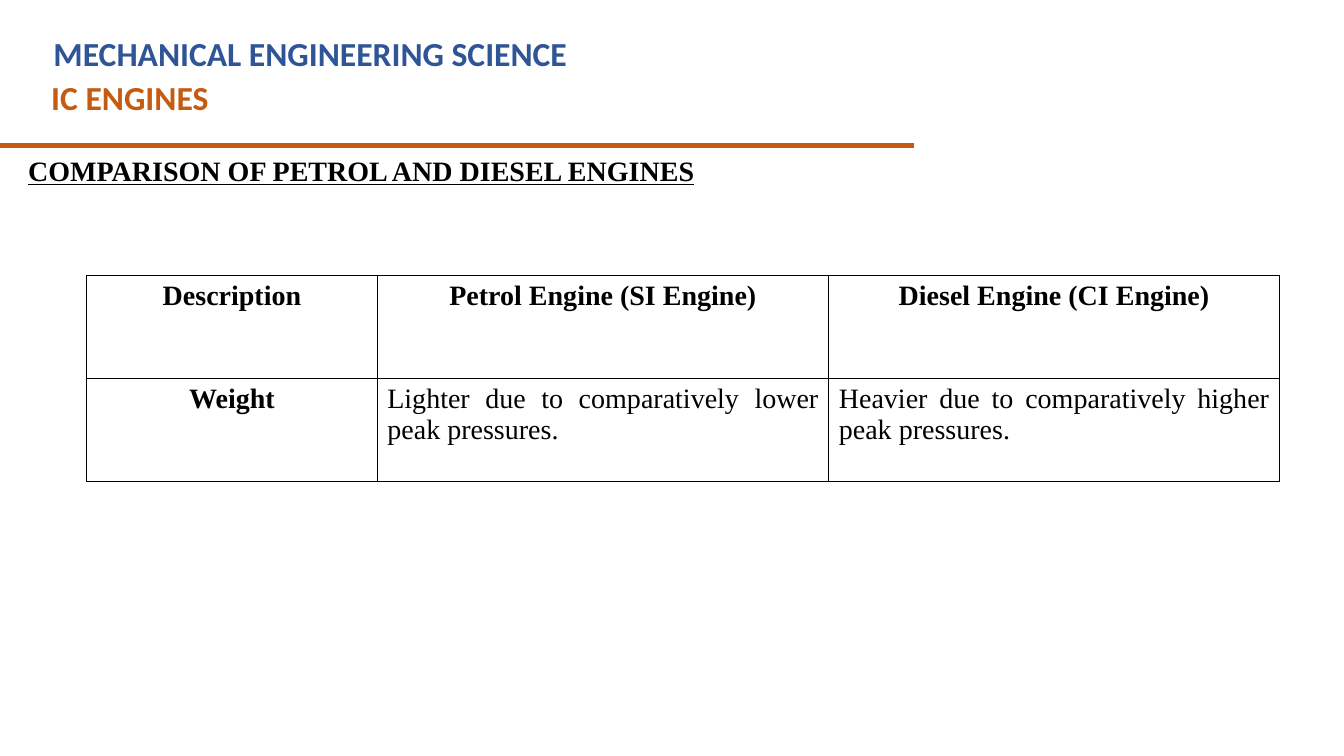
"""Build the slide comparing the weight of petrol and diesel engines."""
from lxml import etree
from pptx import Presentation
from pptx.dml.color import RGBColor
from pptx.enum.shapes import MSO_CONNECTOR as Link
from pptx.enum.text import MSO_ANCHOR as Anchor, MSO_AUTO_SIZE as Fit, PP_ALIGN as Align
from pptx.oxml import parse_xml
from pptx.oxml.ns import nsdecls, qn
from pptx.util import Pt

BLUE = RGBColor(0x2F, 0x55, 0x97)
RUST = RGBColor(0xC5, 0x5A, 0x11)
BLACK = RGBColor(0, 0, 0)
SERIF = "Times New Roman"


def style(frame, text, face, size, color, align, bold=True):
    frame.text = text
    frame.word_wrap = True
    para = frame.paragraphs[0]
    para.alignment = align
    font = para.font
    font.name, font.size, font.bold = face, Pt(size), bold
    font.color.rgb = color
    return font


def place(shape, left, top, width, height):
    shape.left, shape.top = Pt(left), Pt(top)
    shape.width, shape.height = Pt(width), Pt(height)
    shape.text_frame.vertical_anchor = Anchor.TOP
    shape.text_frame.auto_size = Fit.NONE


deck = Presentation()
deck.slide_width, deck.slide_height = Pt(960), Pt(540)
slide = deck.slides.add_slide(deck.slide_layouts[5])
shapes = slide.shapes

title = shapes.title
place(title, 31, 20, 590, 36)
style(title.text_frame, "MECHANICAL ENGINEERING SCIENCE", "Calibri", 24, BLUE, Align.LEFT)

topic = shapes.add_textbox(0, 0, 0, 0)
place(topic, 29.5, 51.5, 630, 36)
style(topic.text_frame, "IC ENGINES", "Calibri", 24, RUST, Align.LEFT)

rule = shapes.add_connector(Link.STRAIGHT, Pt(-0.5), Pt(104), Pt(653), Pt(104))
rule.line.color.rgb = RUST
rule.line.width = Pt(3)
etree.SubElement(rule.element.spPr, qn("a:effectLst"))

heading = shapes.add_textbox(0, 0, 0, 0)
place(heading, 13, 106, 626, 31.5)
font = style(heading.text_frame, "COMPARISON OF PETROL AND DIESEL ENGINES",
             SERIF, 20, BLACK, Align.JUSTIFY)
font.underline = True

rows = [
    ("Description", "Petrol Engine (SI Engine)", "Diesel Engine (CI Engine)"),
    ("Weight", "Lighter due to comparatively lower peak pressures.",
     "Heavier due to comparatively higher peak pressures."),
]
widths = (207.5, 322.5, 322)
high = 73.5
table = shapes.add_table(2, 3, Pt(62), Pt(197), Pt(sum(widths)), Pt(2 * high)).table
table.first_row = table.horz_banding = False
for col, width in zip(table.columns, widths):
    col.width = Pt(width)
for r, row in enumerate(rows):
    table.rows[r].height = Pt(high)
    for c, text in enumerate(row):
        cell = table.cell(r, c)
        label = r == 0 or c == 0
        align = Align.CENTER if label else Align.JUSTIFY
        style(cell.text_frame, text, SERIF, 20, BLACK, align, label)
        props = cell._tc.get_or_add_tcPr()
        for side in ("lnL", "lnR", "lnT", "lnB"):
            props.append(parse_xml(
                f'<a:{side} {nsdecls("a")} w="{Pt(1)}"><a:solidFill>'
                f'<a:srgbClr val="{BLACK}"/></a:solidFill></a:{side}>'))
        cell.fill.background()

deck.save("out.pptx")
